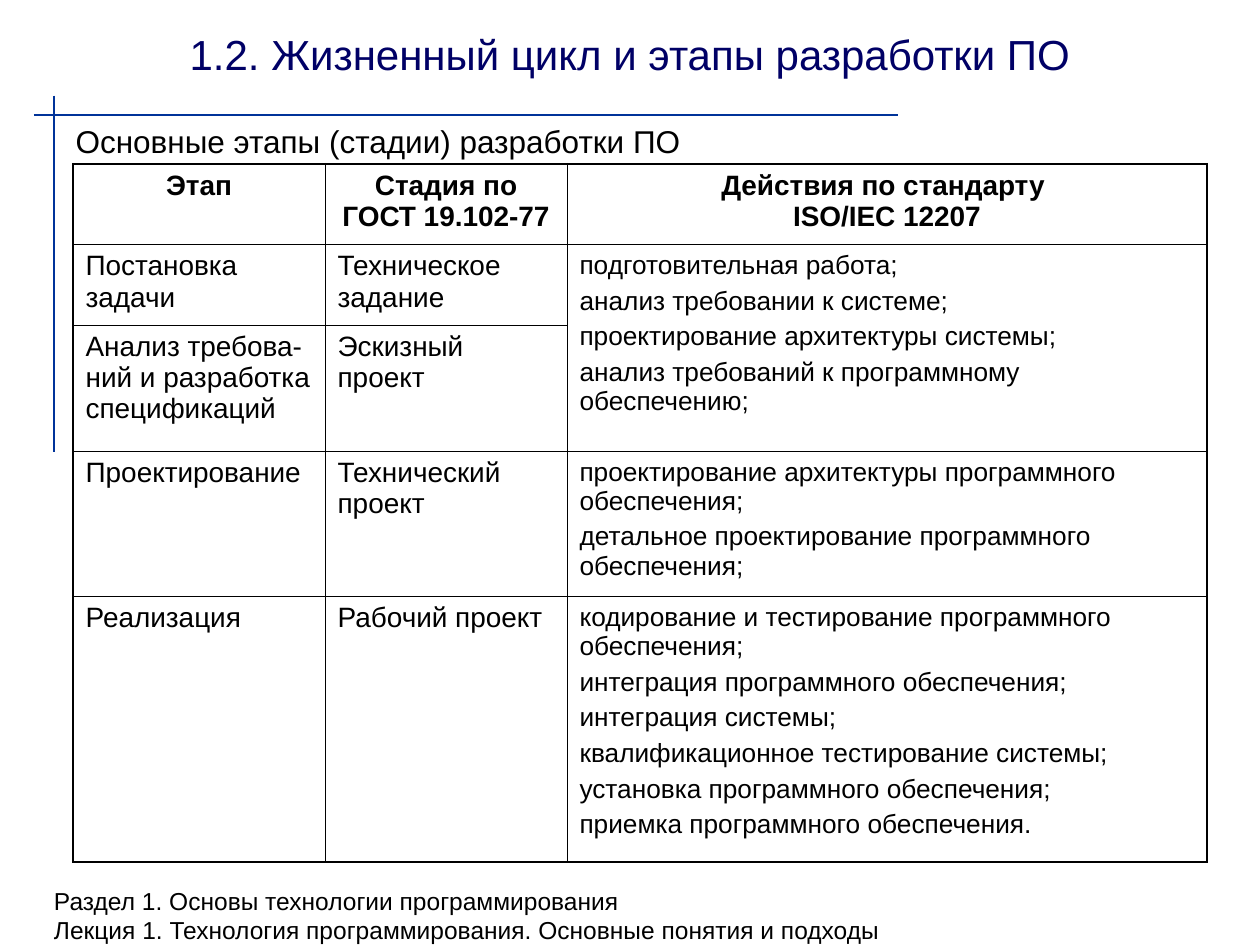
from dataclasses import dataclass

from lxml.etree import SubElement
from pptx import Presentation
from pptx.dml.color import RGBColor as RGB
from pptx.enum.shapes import MSO_CONNECTOR as CONNECTOR
from pptx.enum.text import MSO_ANCHOR as ANCHOR, MSO_AUTO_SIZE as AUTO, PP_ALIGN as ALIGN
from pptx.oxml import parse_xml
from pptx.oxml.ns import nsdecls, qn
from pptx.util import Inches, Pt


@dataclass(frozen=True)
class Theme:
    font: str = "Arial"
    ink: str = "000000"
    title: str = "000066"
    rule: str = "003399"
    title_size: float = 24
    body_size: float = 18
    cell_size: float = 16
    action_size: float = 15
    footer_size: float = 14
    thin: float = 0.45
    thick: float = 1.08


THEME = Theme()
COLUMNS = [2, 1.92, 5.08]
ROWS = [0.64, 0.64, 1, 1.15, 2.11]
HEADER = ["Этап", "Стадия по ГОСТ 19.102-77", "Действия по стандарту \vISO/IEC 12207"]
STAGES = [
    ["Постановка задачи", "Техническое задание",
     "подготовительная работа;\n"
     "анализ требовании к системе;\n"
     "проектирование архитектуры системы;\n"
     "анализ требований к программному обеспечению;"],
    ["Анализ требова-ний и разработка спецификаций", "Эскизный проект", ""],
    ["Проектирование", "Технический проект",
     "проектирование архитектуры программного обеспечения;\n"
     "детальное проектирование программного обеспечения;"],
    ["Реализация", "Рабочий проект",
     "кодирование и тестирование программного обеспечения;\n"
     "интеграция программного обеспечения;\n"
     "интеграция системы;\n"
     "квалификационное тестирование системы;\n"
     "установка программного обеспечения;\n"
     "приемка программного обеспечения."],
]


def write(tf, text, size, color=THEME.ink, bold=False, align=ALIGN.LEFT, before=0):
    tf.text = text
    tf.word_wrap = True
    for p in tf.paragraphs:
        p.alignment = align
        p.space_before = Pt(before)
        for r in p.runs:
            r.font.name, r.font.size, r.font.bold = THEME.font, Pt(size), bold
            r.font.color.rgb = RGB.from_string(color)


def place(sp, box):
    sp.left, sp.top, sp.width, sp.height = map(Inches, box)


def add_rules(slide, box):
    """Crossed lines that meet near the top left corner of the box."""
    x, y, w, h = box
    cross_x, cross_y = x + 0.16, y + 0.15
    for ends in ((x, cross_y, x + w, cross_y), (cross_x, y, cross_x, y + h)):
        line = slide.shapes.add_connector(CONNECTOR.STRAIGHT, *map(Inches, ends))
        line.line.color.rgb = RGB.from_string(THEME.rule)
        line.line.width = Pt(1)
        SubElement(line._element.spPr, qn("a:effectLst"))


def add_title(slide, box):
    sp = slide.shapes.title
    place(sp, box)
    tf = sp.text_frame
    write(tf, "1.2. Жизненный цикл и этапы разработки ПО",
          THEME.title_size, THEME.title, align=ALIGN.CENTER)
    tf.vertical_anchor, tf.auto_size = ANCHOR.MIDDLE, AUTO.NONE


def add_subtitle(slide, box):
    sp = slide.placeholders[1]
    place(sp, box)
    tf = sp.text_frame
    write(tf, "Основные этапы (стадии) разработки ПО", THEME.body_size, before=4.5)
    tf.vertical_anchor, tf.auto_size = ANCHOR.TOP, AUTO.NONE
    # Hanging indent without a bullet
    pPr = tf.paragraphs[0]._p.get_or_add_pPr()
    pPr.set("marL", str(Inches(0.38)))
    pPr.set("indent", str(-Inches(0.38)))
    SubElement(pPr, qn("a:buNone"))


def set_borders(cell, widths):
    tcPr = cell._tc.get_or_add_tcPr()
    for i, (side, width) in enumerate(zip("LRTB", widths)):
        tcPr.insert(i, parse_xml(
            f'<a:ln{side} {nsdecls("a")} w="{int(Pt(width))}"><a:solidFill>'
            f'<a:srgbClr val="{THEME.ink}"/></a:solidFill></a:ln{side}>'))


def add_stage_table(slide, box):
    n_rows, n_cols = len(ROWS), len(COLUMNS)
    table = slide.shapes.add_table(n_rows, n_cols, *map(Inches, box)).table
    table.first_row = table.horz_banding = False
    for col, width in zip(table.columns, COLUMNS):
        col.width = Inches(width)
    for row, height in zip(table.rows, ROWS):
        row.height = Inches(height)
    # The first two stages share one list of actions
    table.cell(1, 2).merge(table.cell(2, 2))

    for i, texts in enumerate([HEADER] + STAGES):
        for j, text in enumerate(texts):
            cell = table.cell(i, j)
            head = i == 0
            actions = j == 2 and not head
            if not cell.is_spanned:
                write(cell.text_frame, text,
                      THEME.action_size if actions else THEME.cell_size, bold=head,
                      align=ALIGN.CENTER if head else ALIGN.LEFT,
                      before=3.7 if actions else 4)
            cell.fill.background()
            # Outer edges are thick, inner ones thin
            outer = (j == 0, j == n_cols - 1, head, i == n_rows - 1)
            set_borders(cell, [THEME.thick if o else THEME.thin for o in outer])


def add_footer(slide, box):
    tf = slide.shapes.add_textbox(*map(Inches, box)).text_frame
    write(tf, "Раздел 1. Основы технологии программирования\n"
              "Лекция 1. Технология программирования. Основные понятия и подходы",
          THEME.footer_size)


def main():
    prs = Presentation()
    prs.slide_width, prs.slide_height = Inches(10), Inches(7.5)
    slide = prs.slides.add_slide(prs.slide_layouts[1])
    add_rules(slide, (0.27, 0.76, 6.86, 2.83))
    add_footer(slide, (0.33, 6.98, 9.08, 0.52))
    add_title(slide, (0.5, 0.08, 9, 0.69))
    add_subtitle(slide, (0.5, 0.92, 9, 0.52))
    add_stage_table(slide, (0.58, 1.3, sum(COLUMNS), sum(ROWS)))
    prs.save("out.pptx")


if __name__ == "__main__":
    main()
